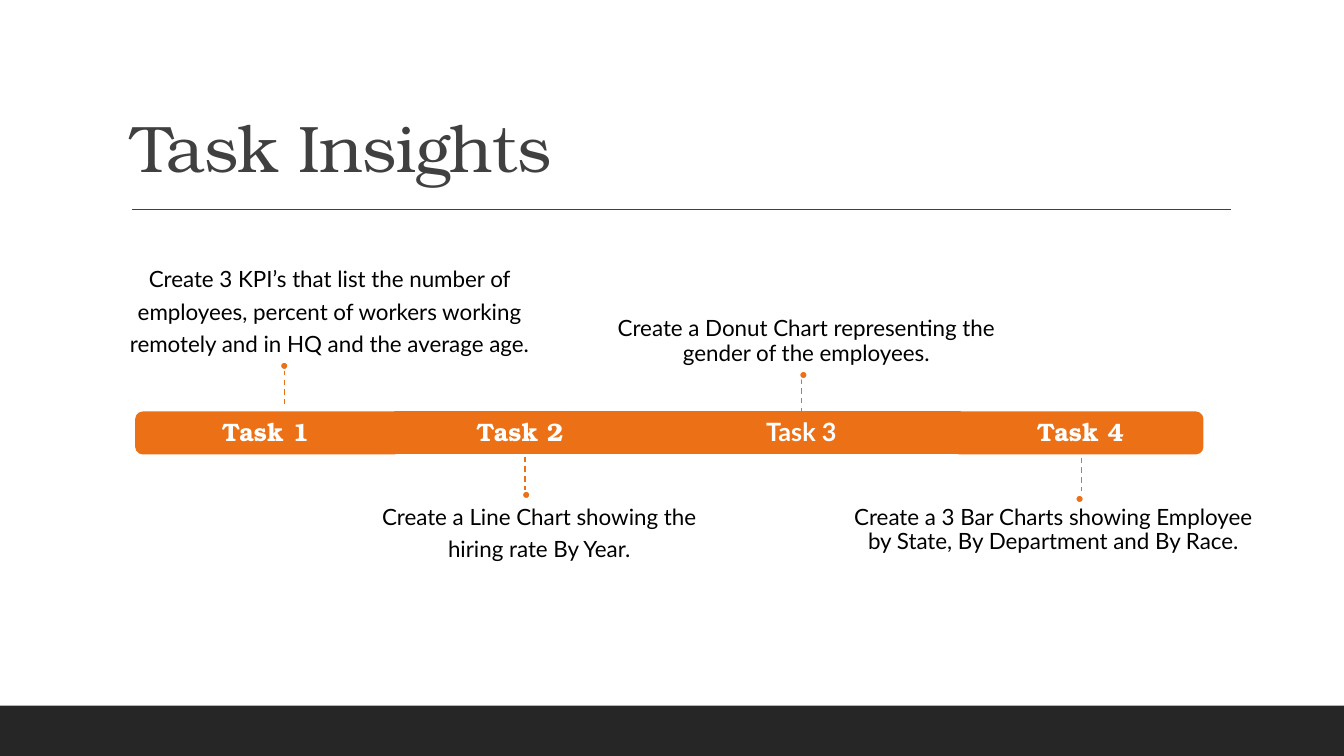
from dataclasses import dataclass

from lxml import etree
from pptx import Presentation, util as u
from pptx.dml.color import RGBColor
from pptx.enum import dml, shapes, text
from pptx.oxml.ns import qn

COLUMNS, ROWS = 160, 90
BAR_TOP, BAR_HEIGHT = 49.08, 4.92
NOTE_WIDTH, NOTE_HEIGHT = 49.68, 17.4
STEM_LENGTH, DOT_SIZE = 4.02, 0.96


@dataclass(frozen=True)
class Theme:
    accent: str = "EC7016"
    ink: str = "404040"
    band: str = "262626"
    body: str = "000000"
    light: str = "FFFFFF"
    serif: str = "TeX Gyre Bonum"
    sans: str = "Lato"
    title_size: int = 47
    label_size: int = 18
    note_size: int = 16
    tight: float = 0.9
    loose: float = 1.2
    after: float = 0.35


@dataclass(frozen=True)
class Task:
    label: str
    note: str
    bar: tuple  # left column, width
    note_at: tuple  # left column, top row
    stem: tuple  # column, top row
    dot: tuple  # centre column, centre row
    above: bool
    font: str = Theme.serif
    spacing: float = Theme.tight
    turn: int = 0
    joined: bool = False


TASKS = [
    Task("Task 1", "Create 3 KPI’s that list the number of employees, percent of "
         "workers working remotely and in HQ and the average age.",
         (16.2, 30.84), (14.4, 26.64), (33.84, 44.04), (33.84, 43.56),
         above=True, spacing=Theme.loose, turn=270),
    Task("Task 2", "Create a Line Chart showing the\nhiring rate By Year.",
         (47.04, 29.76), (39.36, 58.68), (62.52, 54.36), (62.64, 58.92), above=False),
    Task("Task 3", "Create a Donut Chart representing the gender of the employees.",
         (76.44, 37.92), (71.16, 27.72), (95.4, 45.06), (95.64, 44.64),
         above=True, font=Theme.sans, joined=True),
    Task("Task 4", "Create a 3 Bar Charts showing Employee by State, By Department "
         "and By Race.",
         (114.12, 29.04), (100.56, 58.68), (128.76, 54.48), (128.52, 59.4),
         above=False, turn=90),
]


class SlideBuilder:
    def __init__(self, deck, theme):
        self.theme = theme
        self.column = deck.slide_width / COLUMNS
        self.row = deck.slide_height / ROWS
        self.slide = deck.slides.add_slide(deck.slide_layouts[5])

    def box(self, left, top, width, height):
        """Turn grid units into lengths."""
        return (round(left * self.column), round(top * self.row),
                round(width * self.column), round(height * self.row))

    def style(self, paragraph, font, size, color, bold=False):
        for run in paragraph.runs:
            run.font.name = font
            run.font.size = u.Pt(size)
            run.font.bold = bold
            run.font.color.rgb = RGBColor.from_string(color)

    def title(self, words, *area):
        heading = self.slide.shapes.title
        heading.left, heading.top, heading.width, heading.height = self.box(*area)
        frame = heading.text_frame
        frame.text = words
        frame.auto_size = text.MSO_AUTO_SIZE.NONE
        frame.vertical_anchor = text.MSO_ANCHOR.BOTTOM
        line = frame.paragraphs[0]
        line.alignment = text.PP_ALIGN.LEFT
        line.line_spacing = self.theme.tight
        self.style(line, self.theme.serif, self.theme.title_size, self.theme.ink)
        line.runs[0].font._element.set("spc", "-50")

    def block(self, kind, area, fill, outline=None, turn=0):
        left, top, width, height = self.box(*area)
        if turn:  # a quarter turn swaps the sides around the centre
            left, top = left + (width - height) // 2, top + (height - width) // 2
            width, height = height, width
        block = self.slide.shapes.add_shape(kind, left, top, width, height)
        block.rotation = turn
        block.shadow.inherit = False
        block.fill.solid()
        block.fill.fore_color.rgb = RGBColor.from_string(fill)
        if outline:
            block.line.color.rgb = RGBColor.from_string(outline)
            block.line.width = u.Pt(1.25)
        else:
            block.line.fill.background()
        return block

    def line(self, start, end, color, dashed=False):
        x1, y1, x2, y2 = self.box(*start, *end)
        line = self.slide.shapes.add_connector(shapes.MSO_CONNECTOR.STRAIGHT, x1, y1, x2, y2)
        line.line.color.rgb = RGBColor.from_string(color)
        line.line.width = u.Pt(1)
        if dashed:
            line.line.dash_style = dml.MSO_LINE.DASH
        etree.SubElement(line._element.spPr, qn("a:effectLst"))
        return line

    def words(self, content, area, anchor, insets, font, size, color, spacing, bold=False):
        """Add centred text; insets are left, top, right, bottom in inches."""
        frame = self.slide.shapes.add_textbox(*self.box(*area)).text_frame
        frame.word_wrap = True
        frame.vertical_anchor = anchor
        (frame.margin_left, frame.margin_top,
         frame.margin_right, frame.margin_bottom) = map(u.Inches, insets)
        frame.text = content
        for paragraph in frame.paragraphs:
            paragraph.alignment = text.PP_ALIGN.CENTER
            paragraph.line_spacing = spacing
            paragraph.space_after = u.Pt(size * self.theme.after)
            self.style(paragraph, font, size, color, bold)

    def task(self, task):
        theme = self.theme
        left, width = task.bar
        bar_area = (left, BAR_TOP, width, BAR_HEIGHT)
        kind = (shapes.MSO_SHAPE.ROUND_2_SAME_RECTANGLE if task.turn
                else shapes.MSO_SHAPE.RECTANGLE)
        segment = self.block(kind, bar_area, theme.accent, theme.accent, task.turn)
        self.words(task.label, bar_area, text.MSO_ANCHOR.MIDDLE, (0.15,) * 4,
                   task.font, theme.label_size, theme.light, theme.tight, bold=True)

        anchor = text.MSO_ANCHOR.BOTTOM if task.above else text.MSO_ANCHOR.TOP
        insets = (0, 0, 0, 0.13) if task.above else (0, 0.13, 0, 0)
        self.words(task.note, (*task.note_at, NOTE_WIDTH, NOTE_HEIGHT), anchor, insets,
                   theme.sans, theme.note_size, theme.body, task.spacing)

        x, top = task.stem
        stem = self.line((x, top), (x, top + STEM_LENGTH), theme.accent, dashed=True)
        if task.joined:
            stem.end_connect(segment, 0)
        dot_x, dot_y = task.dot
        self.block(shapes.MSO_SHAPE.OVAL,
                   (dot_x - DOT_SIZE / 2, dot_y - DOT_SIZE / 2, DOT_SIZE, DOT_SIZE),
                   theme.accent, theme.light)


def main():
    deck = Presentation()
    deck.slide_width, deck.slide_height = u.Inches(13.33), u.Inches(7.5)
    theme = Theme()
    page = SlideBuilder(deck, theme)
    page.block(shapes.MSO_SHAPE.RECTANGLE, (0, 84, COLUMNS, 6), theme.band)
    page.line((15.72, 24.96), (146.52, 24.96), theme.ink)
    page.title("Task Insights", 14.4, 3.72, 132, 19.08)
    for task in TASKS:
        page.task(task)
    deck.save("out.pptx")


if __name__ == "__main__":
    main()
